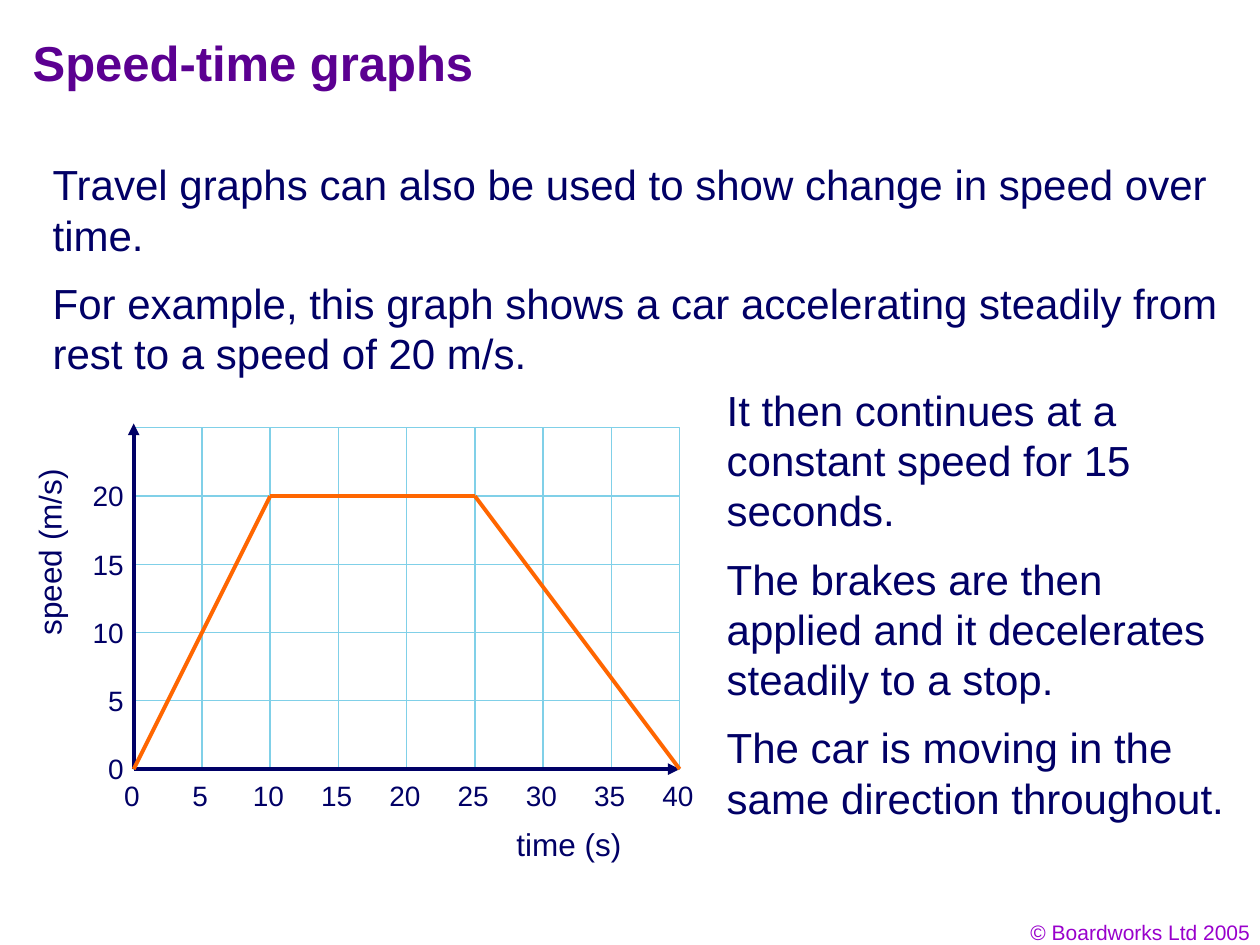
from dataclasses import dataclass
from typing import Any

import lxml.etree
import pptx
import pptx.dml.color
import pptx.enum.shapes
import pptx.enum.text
import pptx.oxml.ns
import pptx.util

Pt = pptx.util.Pt
ALIGN = pptx.enum.text.PP_ALIGN
FONT = "Arial"
COLORS = {
    "title": "5B0091",
    "text": "010066",
    "credit": "9900CC",
    "cell": "FFFFFF",
    "grid": "80D0E8",
    "axis": "000066",
    "graph": "FF6600",
}

COLS, ROWS, CELL = 8, 5, 39
LEFT, TOP = 76.4, 244.5
RIGHT, BOTTOM = LEFT + COLS * CELL, TOP + ROWS * CELL
STEP = 5
LABEL_H = 26.6


@dataclass
class Label:
    text: str
    x: float
    y: float
    w: float
    h: float
    size: float = 24
    color: str = "text"
    align: Any = ALIGN.LEFT
    wrap: bool = True
    rotation: float = 0


@dataclass
class Line:
    x1: float
    y1: float
    x2: float
    y2: float
    color: str
    arrow: bool = False


def rgb(name: str) -> pptx.dml.color.RGBColor:
    return pptx.dml.color.RGBColor.from_string(COLORS[name])


def write(tf: Any, text: str, size: float, color: str, align: Any, bold: bool = False) -> None:
    p = tf.paragraphs[0]
    p.alignment = align
    r = p.add_run()
    r.text = text
    r.font.name = FONT
    r.font.size = Pt(size)
    r.font.bold = bold
    r.font.color.rgb = rgb(color)


def add_label(shapes: Any, label: Label) -> None:
    sp = shapes.add_textbox(Pt(label.x), Pt(label.y), Pt(label.w), Pt(label.h))
    sp.rotation = label.rotation
    sp.text_frame.word_wrap = label.wrap
    write(sp.text_frame, label.text, label.size, label.color, label.align)


def add_line(shapes: Any, line: Line) -> None:
    sp = shapes.add_connector(
        pptx.enum.shapes.MSO_CONNECTOR.STRAIGHT,
        Pt(line.x1), Pt(line.y1), Pt(line.x2), Pt(line.y2),
    )
    sp.line.color.rgb = rgb(line.color)
    sp.line.width = Pt(2.25)
    if line.arrow:
        tail = lxml.etree.SubElement(sp.line._get_or_add_ln(), pptx.oxml.ns.qn("a:tailEnd"))
        tail.set("type", "triangle")
    lxml.etree.SubElement(sp._element.spPr, pptx.oxml.ns.qn("a:effectLst"))


def add_cell(shapes: Any, col: int, row: int) -> None:
    sp = shapes.add_shape(
        pptx.enum.shapes.MSO_SHAPE.RECTANGLE,
        Pt(LEFT + col * CELL), Pt(TOP + row * CELL), Pt(CELL), Pt(CELL),
    )
    sp.shadow.inherit = False
    sp.fill.solid()
    sp.fill.fore_color.rgb = rgb("cell")
    sp.line.color.rgb = rgb("grid")
    sp.line.width = Pt(0.75)


def tick_width(text: str) -> float:
    return 14.4 + 8.9 * len(text)


def x_tick(i: int) -> Label:
    text = str(i * STEP)
    w = tick_width(text)
    return Label(text, LEFT + i * CELL - 1 - w / 2, 441.4, w, LABEL_H, 16,
                 align=ALIGN.CENTER, wrap=False)


def y_tick(i: int) -> Label:
    text = str(i * STEP)
    w = tick_width(text)
    return Label(text, 77.8 - w, BOTTOM - i * CELL - LABEL_H / 2, w, LABEL_H, 16,
                 align=ALIGN.RIGHT, wrap=False)


def add_axes(shapes: Any) -> None:
    for row in range(ROWS):
        for col in range(COLS):
            add_cell(shapes, col, row)
    add_line(shapes, Line(LEFT, BOTTOM, RIGHT, BOTTOM, "axis", True))
    add_line(shapes, Line(LEFT, BOTTOM, LEFT, TOP - 2.5, "axis", True))
    ticks = [x_tick(i) for i in range(COLS + 1)] + [y_tick(i) for i in range(ROWS)]
    names = [
        Label("time (s)", 288, 468, 74.2, 28.8, 18, wrap=False),
        Label("speed (m/s)", -26.6, 301, 109.4, 28.8, 18, wrap=False, rotation=270),
    ]
    for label in ticks + names:
        add_label(shapes, label)


def add_graph(shapes: Any) -> None:
    readings = [(0, 0), (10, 20), (25, 20), (40, 0)]
    points = [(LEFT + t / STEP * CELL, BOTTOM - v / STEP * CELL) for t, v in readings]
    for (x1, y1), (x2, y2) in zip(points, points[1:]):
        add_line(shapes, Line(x1, y1, x2, y2, "graph"))


def add_title(slide: Any, text: str) -> None:
    sp = slide.shapes.title
    sp.left, sp.top, sp.width, sp.height = Pt(11.5), Pt(11.5), Pt(612), Pt(48)
    sp.text_frame.vertical_anchor = pptx.enum.text.MSO_ANCHOR.MIDDLE
    write(sp.text_frame, text, 28, "title", ALIGN.LEFT, True)


def main() -> None:
    prs = pptx.Presentation()
    prs.slide_width, prs.slide_height = Pt(720), Pt(540)
    slide = prs.slides.add_slide(prs.slide_layouts[5])
    shapes = slide.shapes
    add_title(slide, "Speed-time graphs")
    add_axes(shapes.add_group_shape().shapes)
    labels = [
        Label("Travel graphs can also be used to show change in speed over time.",
              23, 87.1, 685.5, 65),
        Label("For example, this graph shows a car accelerating steadily from rest "
              "to a speed of 20 m/s.", 23, 154.8, 685.5, 65),
        Label("It then continues at a constant speed for 15 seconds.",
              408.2, 216, 300.2, 93.6),
        Label("The brakes are then applied and it decelerates steadily to a stop.",
              408.2, 312.5, 300.2, 93.6),
        Label("The car is moving in the same direction throughout.",
              408.2, 409, 300.2, 65),
        Label("© Boardworks Ltd 2005", 553.7, 522, 167.8, 21.6, 12, "credit", ALIGN.RIGHT),
    ]
    for label in labels:
        add_label(shapes, label)
    add_graph(shapes)
    prs.save("out.pptx")


if __name__ == "__main__":
    main()
